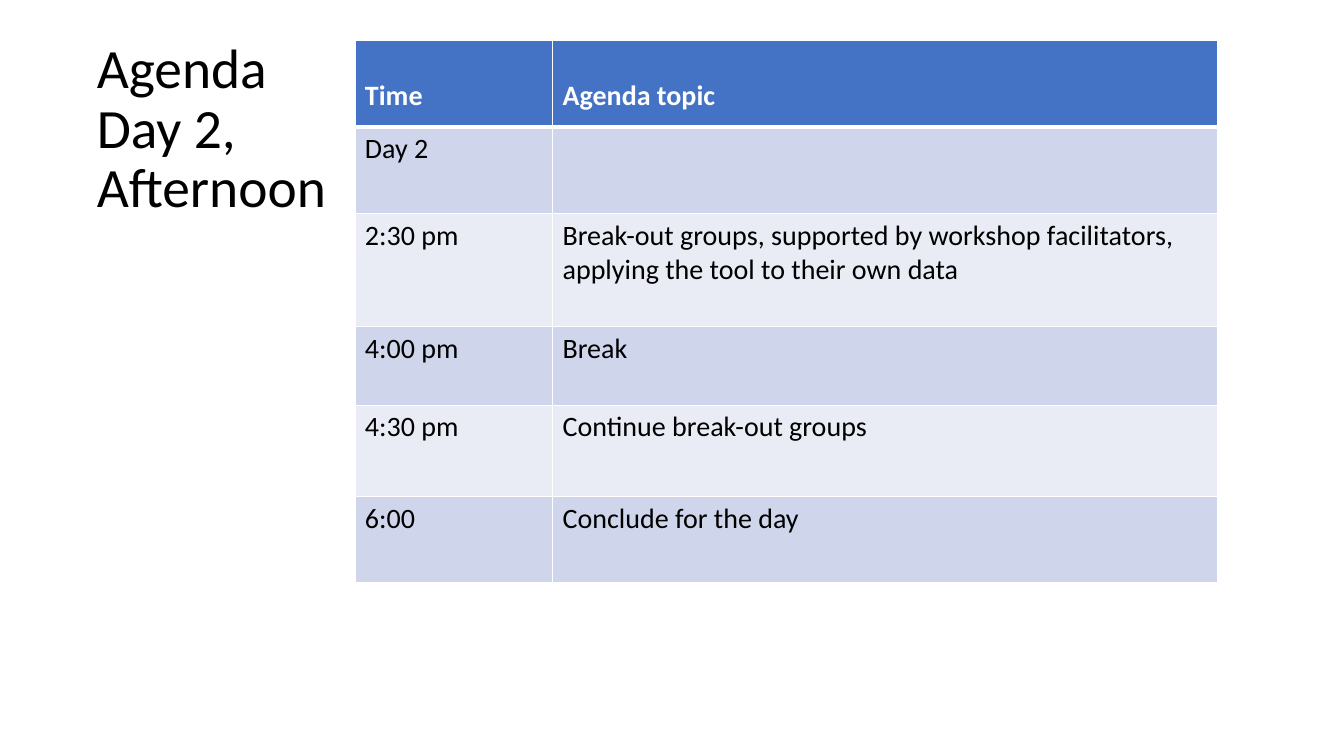
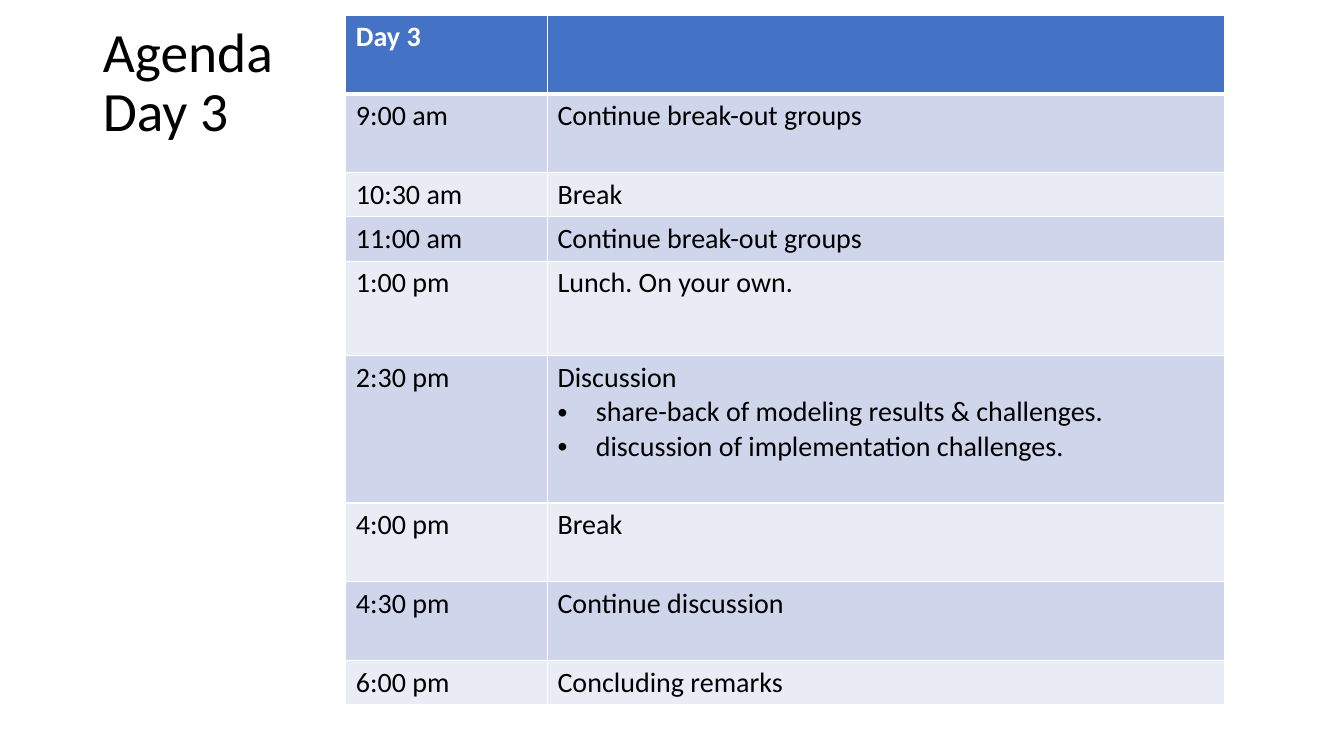
from lxml import etree
from pptx import Presentation
from pptx import util as u
from pptx.dml.color import RGBColor
from pptx.enum import text
from pptx.oxml import ns

FONT = "Calibri"
BLACK, WHITE, BLUE = "000000", "FFFFFF", "4472C4"
BANDS = ["E9EBF5", "CFD5EA"]
BULLET = "• "


def style(run, size, color, bold=False):
    font = run.font
    font.name, font.size, font.bold = FONT, u.Pt(size), bold
    font.color.rgb = RGBColor.from_string(color)


def border(cell, side, width):
    line = etree.Element(ns.qn("a:ln" + side), w=str(u.Pt(width)))
    fill = etree.SubElement(line, ns.qn("a:solidFill"))
    etree.SubElement(fill, ns.qn("a:srgbClr"), val=WHITE)
    cell._tc.get_or_add_tcPr().append(line)


days = [
    {
        "title": ["Agenda", "Day 2,", "Afternoon"],
        "spot": (0.86, 0.35),
        "table": (3.52, 0.4),
        "cols": [1.96, 6.6],
        "head": 0.38,
        "rows": [
            (0.86, "Time", "Agenda topic"),
            (0.86, "Day 2", ""),
            (1.12, "2:30 pm", "Break-out groups, supported by workshop facilitators, "
             "applying the tool to their own data"),
            (0.78, "4:00 pm", "Break"),
            (0.91, "4:30 pm", "Continue break-out groups"),
            (0.85, "6:00", "Conclude for the day"),
        ],
    },
    {
        "title": ["Agenda", "Day 3"],
        "spot": (0.92, 0.19),
        "table": (3.43, 0.15),
        "cols": [2, 6.72],
        "head": 0.05,
        "rows": [
            (0.78, "Day 3", ""),
            (0.78, "9:00 am", "Continue break-out groups"),
            (0.44, "10:30 am", "Break"),
            (0.44, "11:00 am", "Continue break-out groups"),
            (0.94, "1:00 pm", "Lunch. On your own."),
            (1.46, "2:30 pm", "Discussion\n"
             "• share-back of modeling results & challenges.\n"
             "• discussion of implementation challenges."),
            (0.78, "4:00 pm", "Break"),
            (0.78, "4:30 pm", "Continue discussion"),
            (0.44, "6:00 pm", "Concluding remarks"),
        ],
    },
]

deck = Presentation()
deck.slide_width, deck.slide_height = u.Inches(13.33), u.Inches(7.5)

for day in days:
    slide = deck.slides.add_slide(deck.slide_layouts[5])

    title = slide.shapes.title
    title.left, title.top = [u.Inches(n) for n in day["spot"]]
    title.width, title.height = u.Inches(2.66), u.Inches(1.95)
    frame = title.text_frame
    frame.auto_size = text.MSO_AUTO_SIZE.NONE
    frame.vertical_anchor = text.MSO_ANCHOR.TOP
    para = frame.paragraphs[0]
    para.alignment = text.PP_ALIGN.LEFT
    para.line_spacing = 0.9
    for i, words in enumerate(day["title"]):
        if i:
            para.add_line_break()
        run = para.add_run()
        run.text = words
        style(run, 39.6, BLACK)

    rows, cols = day["rows"], day["cols"]
    left, top = day["table"]
    high = sum(row[0] for row in rows)
    table = slide.shapes.add_table(
        len(rows), len(cols), u.Inches(left), u.Inches(top),
        u.Inches(sum(cols)), u.Inches(high)).table
    table.horz_banding = False
    for col, width in zip(table.columns, cols):
        col.width = u.Inches(width)

    for r, (height, *cells) in enumerate(rows):
        table.rows[r].height = u.Inches(height)
        for c, words in enumerate(cells):
            cell = table.cell(r, c)
            if r == 0:
                cell.margin_top = u.Inches(day["head"])
            for side in "LRTB":
                thick = (r, side) in [(0, "B"), (1, "T")]
                border(cell, side, 3 if thick else 1)
            cell.fill.solid()
            cell.fill.fore_color.rgb = RGBColor.from_string(BANDS[r % 2] if r else BLUE)
            if not words:
                continue
            for i, line in enumerate(words.split("\n")):
                frame = cell.text_frame
                para = frame.add_paragraph() if i else frame.paragraphs[0]
                if line.startswith(BULLET):
                    props = para._p.get_or_add_pPr()
                    props.set("marL", str(u.Inches(0.38)))
                    props.set("indent", str(u.Inches(-0.38)))
                    etree.SubElement(props, ns.qn("a:buFont"), typeface="Arial")
                    etree.SubElement(props, ns.qn("a:buChar"), char=BULLET.strip())
                run = para.add_run()
                run.text = line.removeprefix(BULLET)
                style(run, 20, BLACK if r else WHITE, r == 0)

deck.save("out.pptx")
